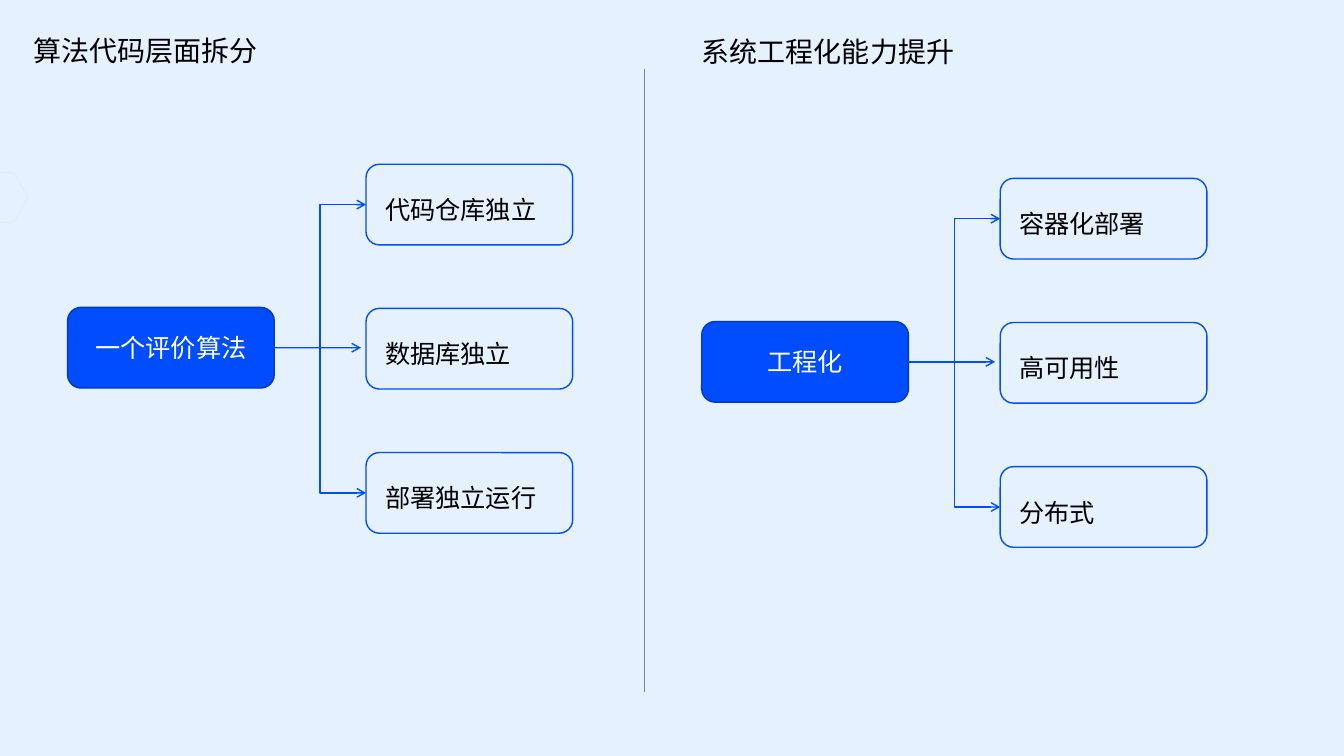
from lxml import etree
from pptx import Presentation
from pptx.dml.color import RGBColor
from pptx.enum.shapes import MSO_CONNECTOR as CONN, MSO_SHAPE as SHAPE
from pptx.enum.text import MSO_ANCHOR as ANCHOR, PP_ALIGN as ALIGN
from pptx.oxml.ns import qn
from pptx.util import Inches, Pt

PALE = RGBColor(0xE5, 0xF1, 0xFF)
BLUE = RGBColor(0x00, 0x4D, 0xFF)
NAVY = RGBColor(0x00, 0x39, 0xBD)
SLATE = RGBColor(0x76, 0x83, 0x94)
SILVER = RGBColor(0xBA, 0xC1, 0xCA)
BLACK = RGBColor(0x00, 0x00, 0x00)
WHITE = RGBColor(0xFF, 0xFF, 0xFF)
BOX_W, BOX_H = 2.05, 0.8
BRANCH_STEP = 1.43
BRANCH_DX = 2.96


class SplitSlide:
    """Draws headings, boxes and connectors in one style on one slide."""

    font = "Arial"

    def __init__(self, prs):
        self.s = prs.slides.add_slide(prs.slide_layouts[6])
        self.s.background.fill.solid()
        self.s.background.fill.fore_color.rgb = PALE

    def add_text(self, p, text, size, color):
        r = p.add_run()
        r.text = text
        r.font.name = self.font
        r.font.size = Pt(size)
        r.font.color.rgb = color

    def label(self, x, y, w, text, size=18):
        tb = self.s.shapes.add_textbox(Inches(x), Inches(y), Inches(w), Inches(0.33))
        tf = tb.text_frame
        tf.word_wrap = True
        self.add_text(tf.paragraphs[0], text, size, BLACK)
        return tf

    def heading(self, x, y, text):
        tf = self.label(x, y, 4.75, text, 20)
        tf.margin_left = tf.margin_right = tf.margin_top = tf.margin_bottom = 0
        tf.paragraphs[0].line_spacing = 0.91

    def box(self, x, y, line):
        sp = self.s.shapes.add_shape(SHAPE.ROUNDED_RECTANGLE, Inches(x), Inches(y),
                                     Inches(BOX_W), Inches(BOX_H))
        sp.shadow.inherit = False
        sp.fill.background()
        sp.line.color.rgb = line
        sp.line.width = Pt(1)
        return sp

    def root(self, x, y, text):
        sp = self.box(x, y, NAVY)
        sp.fill.solid()
        sp.fill.fore_color.rgb = BLUE
        tf = sp.text_frame
        tf.vertical_anchor = ANCHOR.MIDDLE
        p = tf.paragraphs[0]
        p.alignment = ALIGN.CENTER
        self.add_text(p, text, 18, WHITE)
        return sp

    def branch(self, x, y, text):
        sp = self.box(x, y, BLUE)
        self.label(x + 0.09, y + 0.25, 1.89, text)
        return sp

    def line(self, kind, x1, y1, x2, y2, color):
        cx = self.s.shapes.add_connector(kind, Inches(x1), Inches(y1), Inches(x2), Inches(y2))
        cx.line.color.rgb = color
        cx.line.width = Pt(1)
        etree.SubElement(cx._element.spPr, qn("a:effectLst"))
        return cx

    def arrow(self, kind, x1, y1, x2, y2, start, end=None):
        cx = self.line(kind, x1, y1, x2, y2, BLUE)
        cx.begin_connect(start, 3)
        if end is not None:
            cx.end_connect(end, 1)
        etree.SubElement(cx._element.spPr.find(qn("a:ln")), qn("a:tailEnd"), type="arrow")

    def tree(self, x, y, root_text, branch_texts):
        root = self.root(x, y, root_text)
        right, middle = x + BOX_W, y + BOX_H / 2
        branch_x = x + BRANCH_DX
        tops = [y + 0.01 + (i - 1) * BRANCH_STEP for i in range(len(branch_texts))]
        boxes = [self.branch(branch_x, top, text) for top, text in zip(tops, branch_texts)]
        for i in (0, 2):
            self.arrow(CONN.ELBOW, right, middle, branch_x, tops[i] + BOX_H / 2, root, boxes[i])
        self.arrow(CONN.STRAIGHT, right, middle, branch_x - 0.05, middle, root)

    def hexagon(self, cx, cy):
        quarter = [(0.1, -0.25), (0.13, -0.24), (0.16, -0.21), (0.26, -0.03), (0.27, 0)]
        half = quarter + [(x, -y) for x, y in quarter[-2::-1]]
        points = [(Inches(cx + x), Inches(cy + y))
                  for x, y in half + [(-x, -y) for x, y in half]]
        fb = self.s.shapes.build_freeform(*points[0])
        fb.add_line_segments(points[1:], close=True)
        sp = fb.convert_to_shape()
        sp.shadow.inherit = False
        sp.fill.background()
        sp.line.color.rgb = SILVER
        sp.line.width = Pt(0.75)
        color = sp._element.spPr.find(qn("a:ln")).find(".//" + qn("a:srgbClr"))
        etree.SubElement(color, qn("a:alpha"), val="10000")


def main():
    prs = Presentation()
    prs.slide_width, prs.slide_height = Inches(13.33), Inches(7.5)
    slide = SplitSlide(prs)
    slide.heading(0.33, 0.37, "算法代码层面拆分")
    slide.hexagon(0, 1.96)
    slide.tree(0.67, 3.05, "一个评价算法", ["代码仓库独立", "数据库独立", "部署独立运行"])
    slide.heading(6.96, 0.38, "系统工程化能力提升")
    slide.tree(6.96, 3.19, "工程化", ["容器化部署", "高可用性", "分布式"])
    slide.line(CONN.STRAIGHT, 6.39, 0.68, 6.39, 6.87, SLATE)
    prs.save("out.pptx")


if __name__ == "__main__":
    main()
